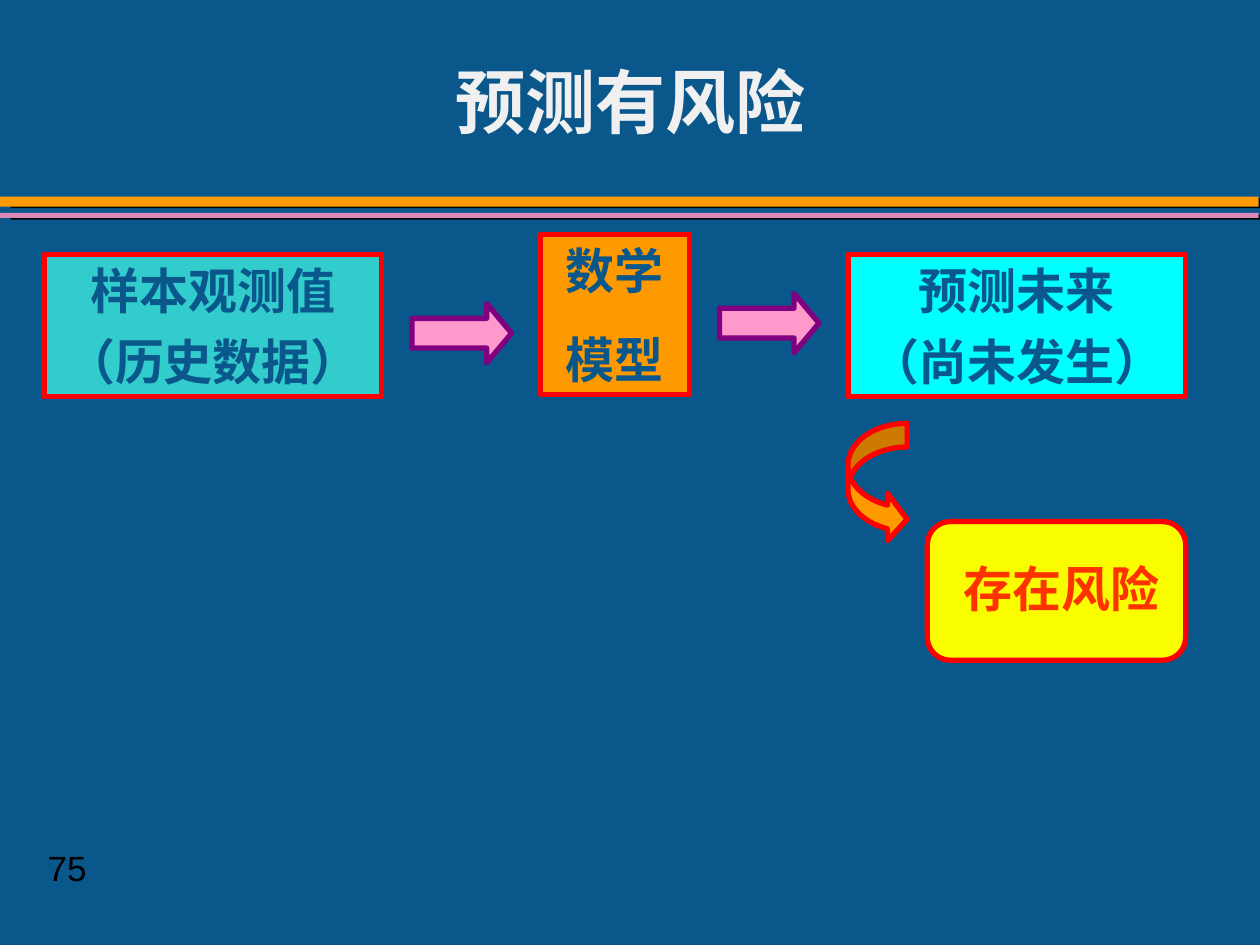
from dataclasses import dataclass

from lxml import etree
from pptx import Presentation
from pptx.dml.color import RGBColor
from pptx.enum.shapes import MSO_SHAPE
from pptx.enum.text import MSO_ANCHOR, MSO_AUTO_SIZE, PP_ALIGN
from pptx.oxml.ns import qn
from pptx.util import Inches, Pt

RECT = MSO_SHAPE.RECTANGLE
ROUNDED = MSO_SHAPE.ROUNDED_RECTANGLE
RIGHT_ARROW = MSO_SHAPE.RIGHT_ARROW
CURVED_ARROW = MSO_SHAPE.CURVED_RIGHT_ARROW
TOP, MIDDLE = MSO_ANCHOR.TOP, MSO_ANCHOR.MIDDLE
CENTER, LEFT = PP_ALIGN.CENTER, PP_ALIGN.LEFT
GROW, FIXED = MSO_AUTO_SIZE.SHAPE_TO_FIT_TEXT, MSO_AUTO_SIZE.NONE


@dataclass(frozen=True)
class Theme:
    """Colours, fonts and sizes of the slide."""
    background: str = "0A578C"
    title: str = "F0F0F0"
    gold_band: str = "FE9B03"
    pink_band: str = "D989B8"
    black: str = "000000"
    orange: str = "FF9900"
    teal: str = "33CCCC"
    cyan: str = "00FFFF"
    yellow: str = "FAFD00"
    red: str = "FF0000"
    warning: str = "FF3300"
    pink: str = "FF99CC"
    purple: str = "800080"
    title_font: str = "Cambria"
    body_font: str = "Arial"
    title_size: int = 40
    body_size: int = 28
    number_size: int = 20
    outline: int = 3


THEME = Theme()


def inches(box):
    """Convert a box of left, top, width, height to lengths."""
    return [Inches(value) for value in box]


def add_figure(slide, preset, box, fill, line=None, adjustments=()):
    """Add a filled preset shape without a shadow."""
    figure = slide.shapes.add_shape(preset, *inches(box))
    figure.shadow.inherit = False
    figure.fill.solid()
    figure.fill.fore_color.rgb = RGBColor.from_string(fill)
    if line:
        figure.line.color.rgb = RGBColor.from_string(line)
        figure.line.width = Pt(THEME.outline)
    else:
        figure.line.fill.background()
    for index, value in enumerate(adjustments):
        figure.adjustments[index] = value
    return figure


def write_lines(frame, lines, color, size, font=THEME.body_font, bold=True,
                align=CENTER, gap=0):
    """Write one paragraph per line, with a gap before each later one."""
    for index, line in enumerate(lines):
        paragraph = frame.add_paragraph() if index else frame.paragraphs[0]
        paragraph.alignment = align
        if index:
            paragraph.space_before = Pt(gap)
        run = paragraph.add_run()
        run.text = line
        run.font.name = font
        run.font.size = Pt(size)
        run.font.bold = bold
        run.font.color.rgb = RGBColor.from_string(color)


def add_title(slide, box, text):
    """Place the slide title in its placeholder."""
    title = slide.shapes.title
    title.left, title.top, title.width, title.height = inches(box)
    frame = title.text_frame
    frame.word_wrap = True
    frame.auto_size = FIXED
    frame.vertical_anchor = MIDDLE
    write_lines(frame, [text], THEME.title, THEME.title_size, THEME.title_font)
    frame.paragraphs[0].line_spacing = 0.95


def add_bands(slide, box):
    """Draw the two shadowed rules under the title."""
    left, top, width, height = box
    bands = ((0, 0.08, THEME.gold_band), (height - 0.04, 0.04, THEME.pink_band))
    for offset, thickness, fill in bands:
        band = add_figure(slide, RECT, (left, top + offset, width, thickness), fill)
        effects = band._element.spPr.find(qn("a:effectLst"))
        shadow = etree.SubElement(effects, qn("a:outerShdw"), blurRad="0",
                                  dist=str(Pt(6.1)), dir=str(9 * 60000),
                                  algn="ctr", rotWithShape="0")
        etree.SubElement(shadow, qn("a:srgbClr"), val=THEME.black)


def add_step(slide, box, lines, fill, gap):
    """Draw one labelled step of the forecasting flow."""
    step = add_figure(slide, RECT, box, fill, THEME.red)
    frame = step.text_frame
    frame.word_wrap = True
    frame.auto_size = GROW
    frame.vertical_anchor = TOP
    write_lines(frame, lines, THEME.background, THEME.body_size, gap=gap)


def add_flow(slide, box):
    """Lay out data, model and forecast with arrows between them."""
    left, top, width, height = box
    end_width, end_height = 2.68, 1.13
    end_top = top + height - end_height
    add_step(slide, (left + 3.94, top, 1.18, 1.27), ["数学", "模型"], THEME.orange, 17.5)
    ends = (
        (left, ["样本观测值", "（历史数据）"], THEME.teal),
        (left + width - end_width, ["预测未来", "（尚未发生）"], THEME.cyan),
    )
    for end_left, lines, fill in ends:
        add_step(slide, (end_left, end_top, end_width, end_height), lines, fill, 7)
    for x, y in ((2.92, 0.55), (5.36, 0.47)):
        add_figure(slide, RIGHT_ARROW, (left + x, top + y, 0.79, 0.47),
                   THEME.pink, THEME.purple, (0.5, 0.42))


def add_risk(slide, box):
    """Draw the curved arrow leading to the risk label."""
    left, top, width, height = box
    label_width, label_height = 2.05, 1.1
    label_left = left + width - label_width
    label_top = top + height - label_height
    add_figure(slide, ROUNDED, (label_left, label_top, label_width, label_height),
               THEME.yellow, THEME.red)
    label = slide.shapes.add_textbox(
        *inches((label_left + 0.08, label_top + 0.24, label_width - 0.08, 0.56)))
    label.text_frame.word_wrap = True
    label.text_frame.auto_size = GROW
    write_lines(label.text_frame, ["存在风险"], THEME.warning, THEME.body_size)
    add_figure(slide, CURVED_ARROW, (left, top, 0.47, 0.95), THEME.orange,
               THEME.red, (0.4, 0.8, 0.33))


def add_page_number(slide, box, number):
    """Place the page number at the foot of the slide."""
    page = slide.shapes.add_textbox(*inches(box))
    page.text_frame.word_wrap = False
    page.text_frame.auto_size = FIXED
    write_lines(page.text_frame, [number], THEME.black, THEME.number_size,
                bold=False, align=LEFT)


def main():
    """Build and save the slide."""
    deck = Presentation()
    deck.slide_width, deck.slide_height = Inches(10), Inches(7.5)
    slide = deck.slides.add_slide(deck.slide_layouts[5])
    slide.background.fill.solid()
    slide.background.fill.fore_color.rgb = RGBColor.from_string(THEME.background)
    add_bands(slide, (0, 1.56, 9.99, 0.17))
    add_page_number(slide, (0.28, 6.67, 1.47, 0.43), "75")
    add_title(slide, (1.17, 0.33, 7.67, 1), "预测有风险")
    add_flow(slide, (0.35, 1.86, 9.06, 1.29))
    add_risk(slide, (6.73, 3.36, 2.68, 1.88))
    deck.save("out.pptx")


if __name__ == "__main__":
    main()
